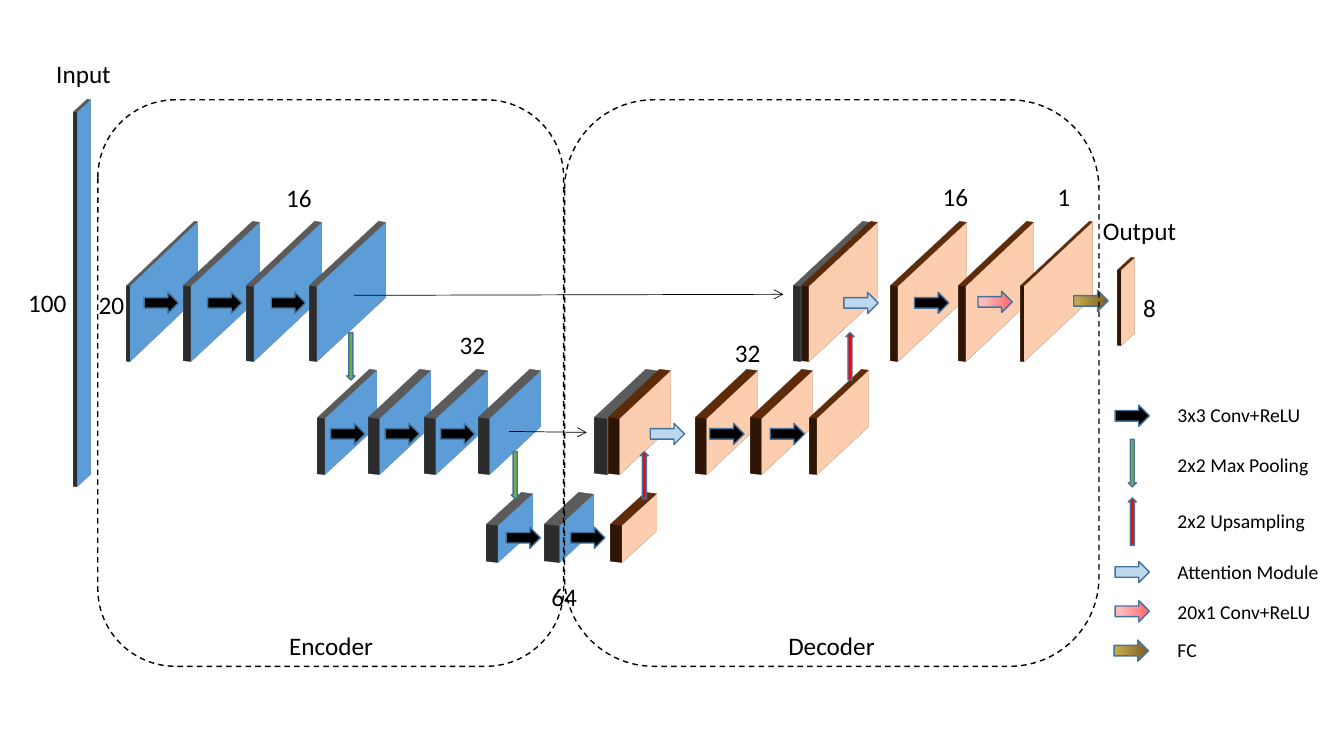
from copy import deepcopy

from lxml.etree import SubElement
from pptx import Presentation
from pptx.dml.color import RGBColor
from pptx.enum.dml import MSO_LINE
from pptx.enum.shapes import MSO_CONNECTOR, MSO_SHAPE
from pptx.enum.text import MSO_AUTO_SIZE
from pptx.oxml.ns import qn
from pptx.util import Inches, Pt

BLACK = RGBColor(0, 0, 0)
EDGE = RGBColor(0x43, 0x73, 0x9E)
GREEN = RGBColor(0x70, 0xAD, 0x47)
RED = RGBColor(0xFF, 0, 0)
PALE = RGBColor(0xBD, 0xD7, 0xEE)
# Gradients as (colour, place) stops
ROSE = ((RGBColor(0xFF, 0xB9, 0xB9), 0.19), (RGBColor(0xFE, 0x9E, 0x9F), 0.44),
        (RGBColor(0xFF, 0x8F, 0x8E), 0.64), (RGBColor(0xFF, 0x73, 0x73), 0.84))
GOLD = (RGBColor(0xCA, 0xAF, 0x4E), 0), (RGBColor(0x7C, 0x5E, 0x29), 1)
# Fill, line and depth colour of a slab
BLUE = RGBColor(0x5B, 0x9B, 0xD5), EDGE, RGBColor(0x7F, 0x7F, 0x7F)
PEACH = (RGBColor(0xF8, 0xCB, 0xAD), RGBColor(0xED, 0x7D, 0x31),
         RGBColor(0x84, 0x3C, 0x0C))


class Board:
    font = "Calibri"
    tilt = {"lat": "1200000", "lon": "17400000", "rev": "0"}

    def __init__(self, slide):
        self.shapes = slide.shapes

    def shape(self, kind, x, y, w, h, edge):
        shape = self.shapes.add_shape(
            kind, Inches(x), Inches(y), Inches(w), Inches(h))
        shape.shadow.inherit = False
        shape.line.width = Pt(1)
        shape.line.color.rgb = edge
        return shape

    def slab(self, x, y, w, h, depth, tones):
        """Draw a rectangle turned in space and given a depth."""
        fill, edge, side = tones
        shape = self.shape(MSO_SHAPE.RECTANGLE, x, y, w, h, edge)
        shape.fill.solid()
        shape.fill.fore_color.rgb = fill
        props = shape._element.spPr
        scene = SubElement(props, qn("a:scene3d"))
        camera = SubElement(scene, qn("a:camera"),
                            prst="isometricOffAxis2Right")
        SubElement(camera, qn("a:rot"), **self.tilt)
        SubElement(scene, qn("a:lightRig"), rig="threePt", dir="t")
        solid = SubElement(props, qn("a:sp3d"),
                           extrusionH=str(Inches(depth)))
        color = SubElement(solid, qn("a:extrusionClr"))
        SubElement(color, qn("a:srgbClr"), val=str(side))

    def frame(self, x, y, w, h):
        shape = self.shape(MSO_SHAPE.ROUNDED_RECTANGLE, x, y, w, h, BLACK)
        shape.fill.background()
        shape.line.dash_style = MSO_LINE.DASH

    def blend(self, fill, paint):
        fill.gradient()
        fill.gradient_angle = 0
        stops = fill._fill._gradFill.gsLst
        for _ in paint[2:]:
            stops.append(deepcopy(stops[0]))
        for stop, (color, place) in zip(fill.gradient_stops, paint):
            stop.color.rgb = color
            stop.position = place

    def arrow(self, x, y, paint):
        """Green and red arrows stand upright, the others point right."""
        if paint in (GREEN, RED):
            shape = self.shape(MSO_SHAPE.DOWN_ARROW, x, y, 0.08, 0.47, EDGE)
            shape.rotation = 180 if paint == RED else 0
        else:
            shape = self.shape(MSO_SHAPE.RIGHT_ARROW, x, y, 0.34, 0.21, EDGE)
        if paint in (ROSE, GOLD):
            self.blend(shape.fill, paint)
        else:
            shape.fill.solid()
            shape.fill.fore_color.rgb = paint

    def link(self, x1, y1, x2, y2):
        line = self.shapes.add_connector(
            MSO_CONNECTOR.STRAIGHT, Inches(x1), Inches(y1),
            Inches(x2), Inches(y2))
        line.line.color.rgb = BLACK
        line.line.width = Pt(0.5)
        SubElement(line.line._get_or_add_ln(), qn("a:tailEnd"), type="arrow")
        SubElement(line._element.spPr, qn("a:effectLst"))

    def label(self, text, x, y, w, h=0.4, size=18, wrap=True):
        box = self.shapes.add_textbox(
            Inches(x), Inches(y), Inches(w), Inches(h))
        box.text_frame.word_wrap = wrap
        box.text_frame.auto_size = MSO_AUTO_SIZE.SHAPE_TO_FIT_TEXT
        run = box.text_frame.paragraphs[0].add_run()
        run.text = text
        run.font.name = self.font
        run.font.size = Pt(size)
        run.font.color.rgb = BLACK


deck = Presentation()
deck.slide_width, deck.slide_height = Inches(13.33), Inches(7.5)
board = Board(deck.slides.add_slide(deck.slide_layouts[6]))

# Input and output slabs
board.slab(0.64, 0.94, 0.39, 3.94, 0.04, BLUE)
board.slab(10.99, 2.6, 0.39, 0.79, 0.04, PEACH)

# Feature maps by level: top, size, then (left, depth) of each slab
LEVELS = [
    (2.5, 1.97, 0.79,
     [(0.64, 0.04), (1.25, 0.08), (1.87, 0.08), (2.5, 0.08), (7.3, 0.08)],
     [(7.38, 0.08), (8.26, 0.08), (8.93, 0.08), (9.51, 0.04)]),
    (3.9, 1.48, 0.59,
     [(2.74, 0.08), (3.28, 0.12), (3.84, 0.12), (4.37, 0.12), (5.54, 0.14)],
     [(5.66, 0.12), (6.52, 0.12), (7.07, 0.12), (7.62, 0.08)]),
    (5.05, 0.98, 0.39, [(4.62, 0.12), (5.23, 0.16)], [(5.85, 0.12)]),
]
for top, w, h, blues, peaches in LEVELS:
    for tones, row in ((BLUE, blues), (PEACH, peaches)):
        for x, depth in row:
            board.slab(x, top, w, h, depth, tones)

# Operations between the maps
STEPS = [
    (BLACK, 2.9, [1.43, 2.06, 2.69, 9.07]),
    (BLACK, 4.2, [3.28, 3.82, 4.37, 7.04, 7.64]),
    (BLACK, 5.23, [5.02, 5.66]),
    (GREEN, 3.3, [3.44]), (GREEN, 4.48, [5.07]),
    (RED, 4.48, [6.35]), (RED, 3.3, [8.39]),
    (PALE, 4.2, [6.45]), (PALE, 2.9, [8.37]),
    (ROSE, 2.89, [9.7]), (GOLD, 2.88, [10.65]),
]
for paint, y, row in STEPS:
    for x in row:
        board.arrow(x, y, paint)

# Skip links
board.link(3.51, 2.93, 7.77, 2.92)
board.link(5.05, 4.28, 5.82, 4.29)

# Encoder and decoder frames
board.frame(0.97, 0.99, 4.62, 5.62)
board.frame(5.6, 0.99, 5.3, 5.62)

# Names and channel counts
for text, x, y, w in [
        ("Input", 0.46, 0.53, 0.74), ("Output", 10.84, 2.09, 0.93),
        ("Encoder", 2.77, 6.2, 1.03), ("Decoder", 7.72, 6.2, 1.06),
        ("16", 2.74, 1.76, 0.45), ("32", 4.46, 3.22, 0.45),
        ("64", 5.37, 5.72, 0.45), ("32", 7.19, 3.3, 0.45),
        ("16", 9.25, 1.75, 0.45), ("1", 10.39, 1.75, 0.33)]:
    board.label(text, x, y, w, wrap=False)
for text, x, y in [("100", 0.18, 2.8), ("20", 0.88, 2.82), ("8", 11.24, 2.85)]:
    board.label(text, x, y, 0.61)

# Legend
for text, paint, x, mark, y, w in [
        ("3x3 Conv+ReLU", BLACK, 11.06, 4.02, 3.95, 1.52),
        ("2x2 Max Pooling", GREEN, 11.19, 4.36, 4.44, 1.52),
        ("2x2 Upsampling", RED, 11.19, 4.94, 5, 1.52),
        ("Attention Module", PALE, 11.06, 5.57, 5.51, 1.67),
        ("20x1 Conv+ReLU", ROSE, 11.06, 5.96, 5.9, 1.52),
        ("FC", GOLD, 11.05, 6.35, 6.28, 1.52)]:
    board.arrow(x, mark, paint)
    board.label(text, 11.58, y, w, 0.34, 14)

deck.save("out.pptx")
